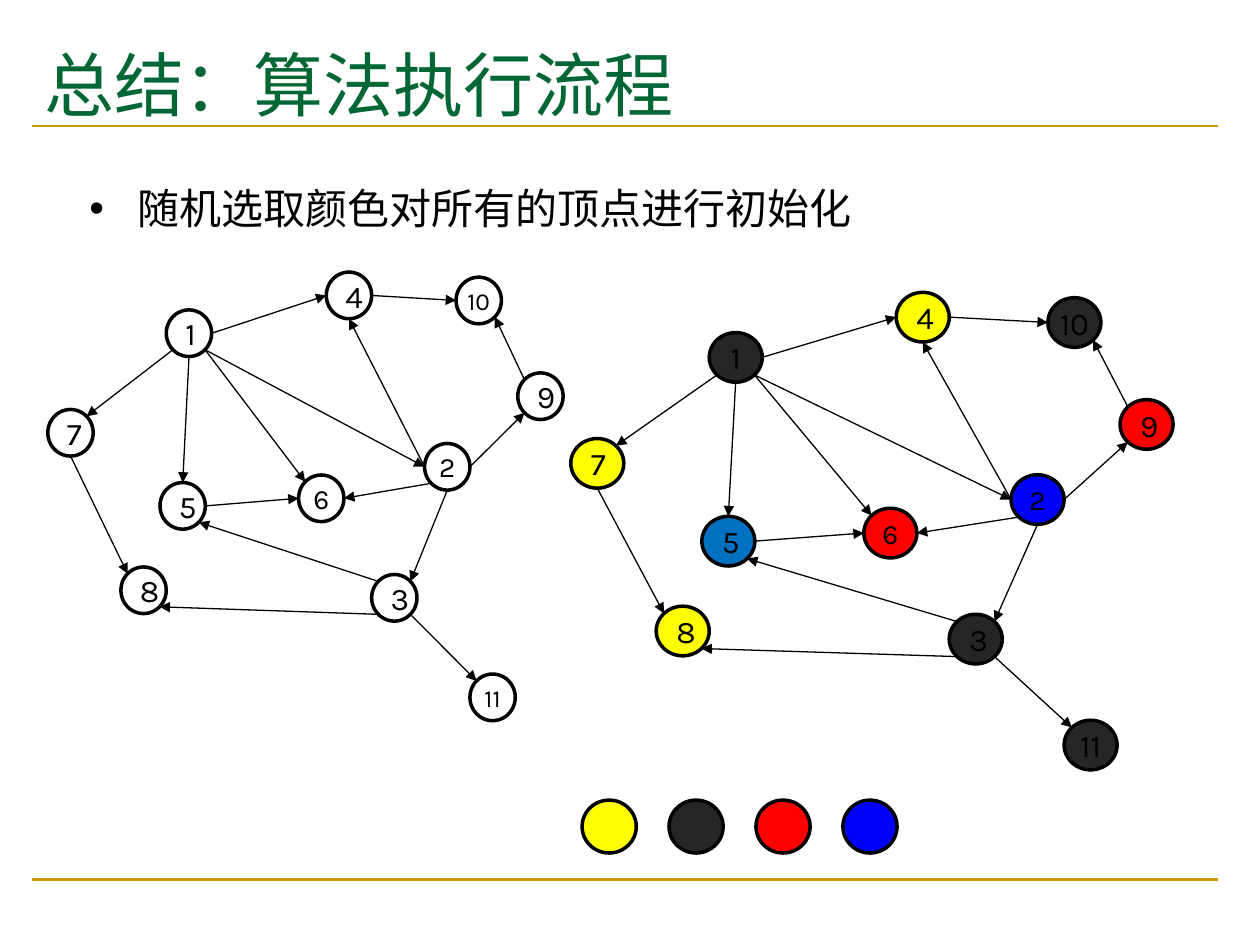
from math import cos, radians, sin

from lxml.etree import SubElement
from pptx import Presentation
from pptx.dml.color import RGBColor
from pptx.enum.shapes import MSO_CONNECTOR, MSO_SHAPE
from pptx.enum.text import MSO_ANCHOR, MSO_AUTO_SIZE, PP_ALIGN
from pptx.oxml.ns import qn
from pptx.util import Inches, Pt

# Content
TITLE = "总结：算法执行流程"
BULLET = "随机选取颜色对所有的顶点进行初始化"
COLORS = {
    "green": "006633", "gold": "CC9900", "black": "000000", "white": "FFFFFF",
    "yellow": "FFFF00", "dark": "262626", "red": "FF0000", "blue": "0000FF",
    "azure": "0070C0",
}
# Vertex: left and top in the uncoloured graph, initial colour
VERTICES = {
    7: (0.38, 3.25, "yellow"), 8: (0.96, 4.5, "yellow"), 11: (3.73, 5.35, "dark"),
    3: (2.95, 4.56, "dark"), 4: (2.59, 2.16, "yellow"), 1: (1.32, 2.46, "dark"),
    5: (1.27, 3.83, "azure"), 6: (2.37, 3.77, "red"), 2: (3.37, 3.52, "blue"),
    9: (4.11, 2.96, "red"), 10: (3.62, 2.2, "dark"),
}
# Edge: source vertex, side it leaves, target vertex, side it reaches
EDGES = [
    (1, "SW", 7, "NE"), (5, "E", 6, "W"), (1, "E", 4, "W"), (2, "E", 9, "SW"),
    (2, "W", 4, "S"), (1, "SE", 2, "W"), (2, "SW", 6, "E"), (1, "SE", 6, "NW"),
    (1, "S", 5, "N"), (7, "S", 8, "NW"), (3, "SW", 8, "SE"), (2, "S", 3, "NE"),
    (3, "SE", 11, "NW"), (3, "NW", 5, "SE"), (9, "NW", 10, "SE"), (4, "E", 10, "W"),
]
PALETTE = ["yellow", "dark", "red", "blue"]

# Layout: graph frames are left, top, width, height
NODE_SIZE = (0.36, 0.37)
PLAIN_FRAME = (0.38, 2.16, 4.09, 3.56)
COLORED_FRAME = (4.53, 2.32, 4.78, 3.79)
SIDES = ["E", "SE", "S", "SW", "W", "NW", "N", "NE"]
TIGHT = {2, 6, 10, 11}
PLAIN_SIZES = {2: 16, 6: 16, 10: 14, 11: 14}
COLORED_SIZES = {2: 16, 6: 16}


def color(name):
    return RGBColor.from_string(COLORS[name])


def add_line(shapes, start, end, line_color, width, arrow=False):
    connector = shapes.add_connector(
        MSO_CONNECTOR.STRAIGHT, *(Inches(value) for value in (*start, *end)))
    connector.line.color.rgb = color(line_color)
    connector.line.width = Pt(width)
    if arrow:
        SubElement(connector.line._get_or_add_ln(), qn("a:tailEnd"), type="triangle")
    SubElement(connector._element.spPr, qn("a:effectLst"))


def add_circle(shapes, box, fill):
    circle = shapes.add_shape(MSO_SHAPE.OVAL, *(Inches(value) for value in box))
    circle.shadow.inherit = False
    circle.fill.solid()
    circle.fill.fore_color.rgb = color(fill)
    circle.line.color.rgb = color("black")
    circle.line.width = Pt(2)
    return circle


def set_font(run, name, size, font_color):
    for key, value in {"name": name, "size": Pt(size), "bold": False}.items():
        setattr(run.font, key, value)
    run.font.color.rgb = color(font_color)
    SubElement(run._r.get_or_add_rPr(), qn("a:ea"), typeface=name)


def add_label(circle, vertex, size):
    frame = circle.text_frame
    frame.vertical_anchor = MSO_ANCHOR.MIDDLE
    if vertex in TIGHT:
        for side in ("left", "top", "right", "bottom"):
            setattr(frame, f"margin_{side}", 0)
    paragraph = frame.paragraphs[0]
    paragraph.alignment = PP_ALIGN.CENTER
    run = paragraph.add_run()
    run.text = str(vertex)
    set_font(run, "Karla", size, "black")


def side_point(box, side):
    left, top, width, height = box
    angle = radians(45 * SIDES.index(side))
    return (left + width / 2 * (1 + cos(angle)), top + height / 2 * (1 + sin(angle)))


def add_graph(slide, frame, sizes, colored):
    left, top, width, height = frame
    scale_x, scale_y = width / PLAIN_FRAME[2], height / PLAIN_FRAME[3]
    boxes = {
        vertex: (left + (x - PLAIN_FRAME[0]) * scale_x,
                 top + (y - PLAIN_FRAME[1]) * scale_y,
                 NODE_SIZE[0] * scale_x, NODE_SIZE[1] * scale_y)
        for vertex, (x, y, _) in VERTICES.items()
    }
    group = slide.shapes.add_group_shape()
    for vertex, box in boxes.items():
        fill = VERTICES[vertex][2] if colored else "white"
        add_label(add_circle(group.shapes, box, fill), vertex, sizes.get(vertex, 18))
    for source, leaving, target, reaching in EDGES:
        add_line(group.shapes, side_point(boxes[source], leaving),
                 side_point(boxes[target], reaching), "black", 0.75, arrow=True)


def fill_placeholder(placeholder, box, text, size, font_color):
    for key, value in zip(("left", "top", "width", "height"), box):
        setattr(placeholder, key, Inches(value))
    frame = placeholder.text_frame
    frame.auto_size = MSO_AUTO_SIZE.NONE
    frame.vertical_anchor = MSO_ANCHOR.TOP
    paragraph = frame.paragraphs[0]
    paragraph.alignment = PP_ALIGN.LEFT
    paragraph.space_before = Pt(0)
    run = paragraph.add_run()
    run.text = text
    set_font(run, "DejaVu Sans", size, font_color)
    return paragraph


def main():
    presentation = Presentation()
    presentation.slide_width, presentation.slide_height = Inches(10), Inches(7.5)
    slide = presentation.slides.add_slide(presentation.slide_layouts[1])

    # Rules under the title and above the footer
    for y in (1, 6.98):
        add_line(slide.shapes, (0.25, y), (9.67, y), "gold", 1.5)

    # Title and bullet
    fill_placeholder(slide.shapes.title, (0.25, 0.28, 9.42, 0.71), TITLE, 40, "green")
    paragraph = fill_placeholder(
        slide.placeholders[1], (0.61, 1, 8.69, 0.78), BULLET, 24, "black")
    paragraph.line_spacing = 2.0
    properties = paragraph._p.get_or_add_pPr()
    properties.set("marL", str(Inches(0.38)))
    properties.set("indent", str(-Inches(0.38)))
    SubElement(properties, qn("a:buChar"), char="•")

    # Graph before and after colouring
    add_graph(slide, PLAIN_FRAME, PLAIN_SIZES, colored=False)
    add_graph(slide, COLORED_FRAME, COLORED_SIZES, colored=True)

    # Available colours
    for index, name in enumerate(PALETTE):
        add_circle(slide.shapes, (4.62 + index * 0.69, 6.35, 0.43, 0.42), name)

    presentation.save("out.pptx")


if __name__ == "__main__":
    main()
